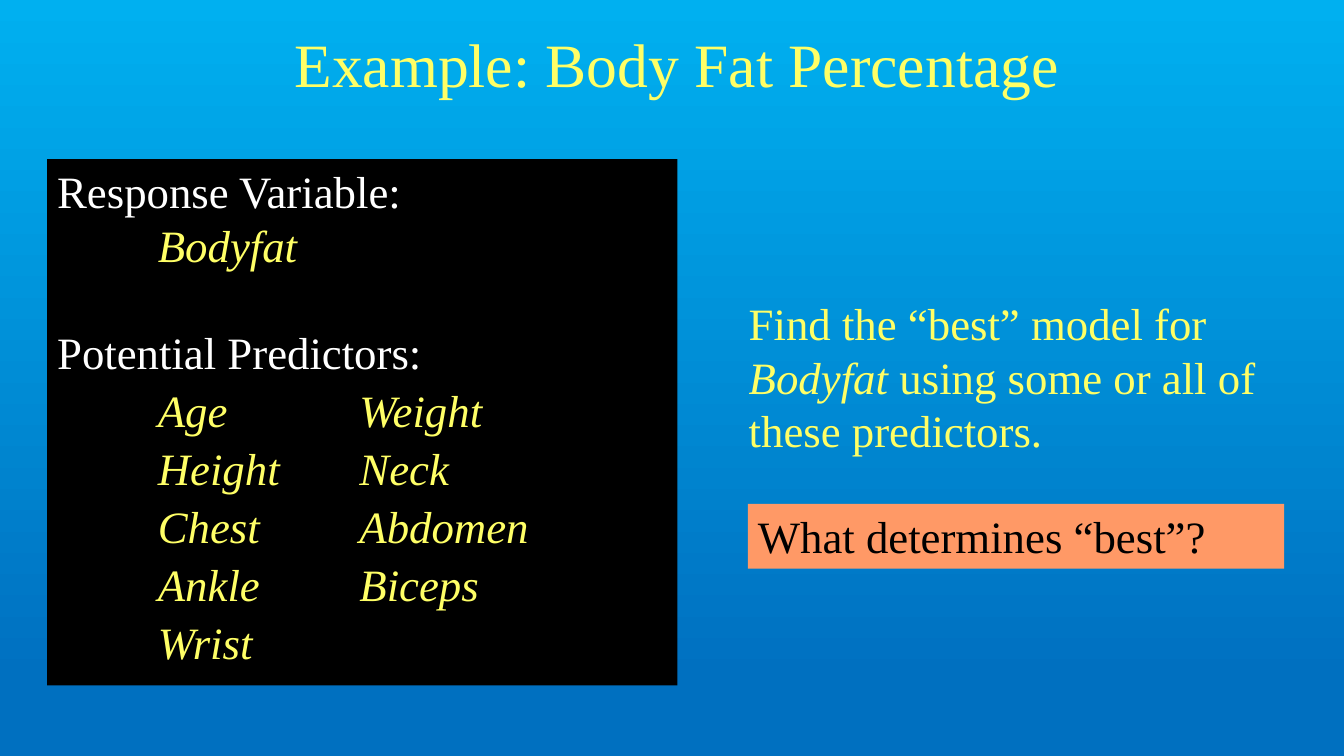
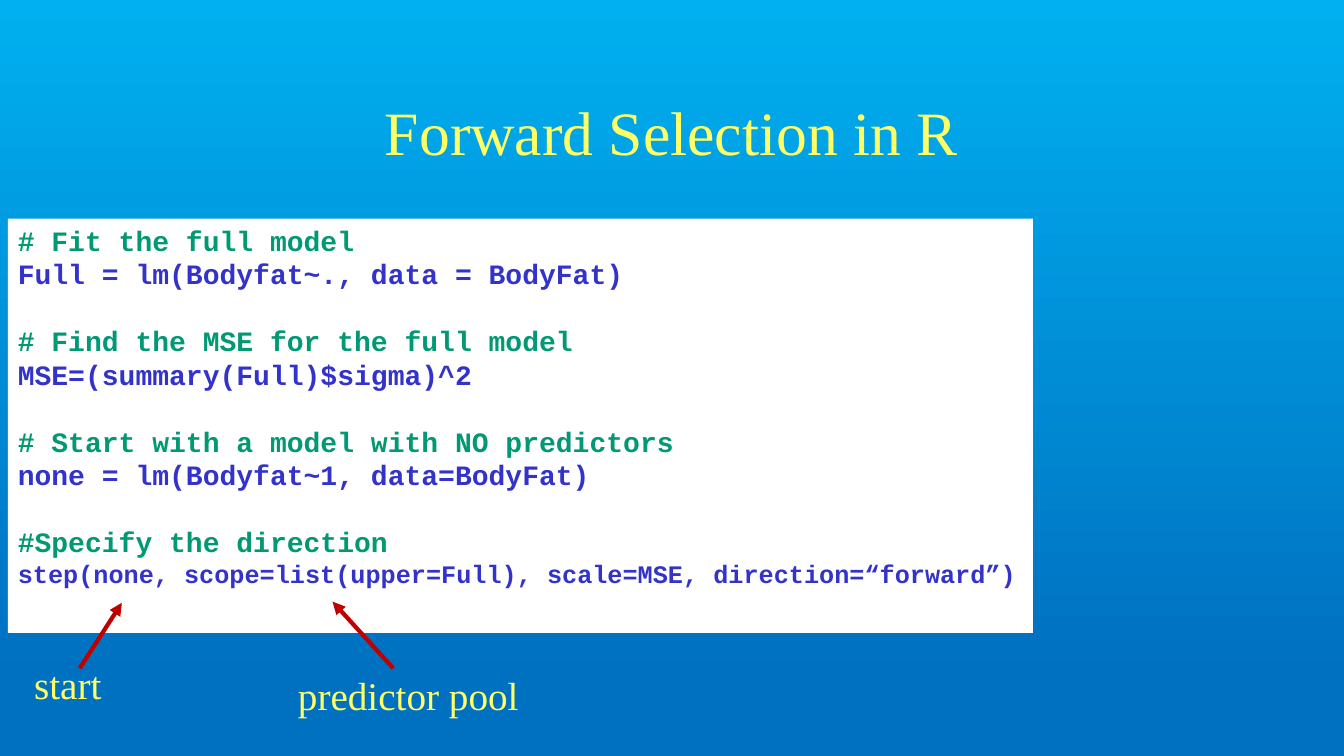
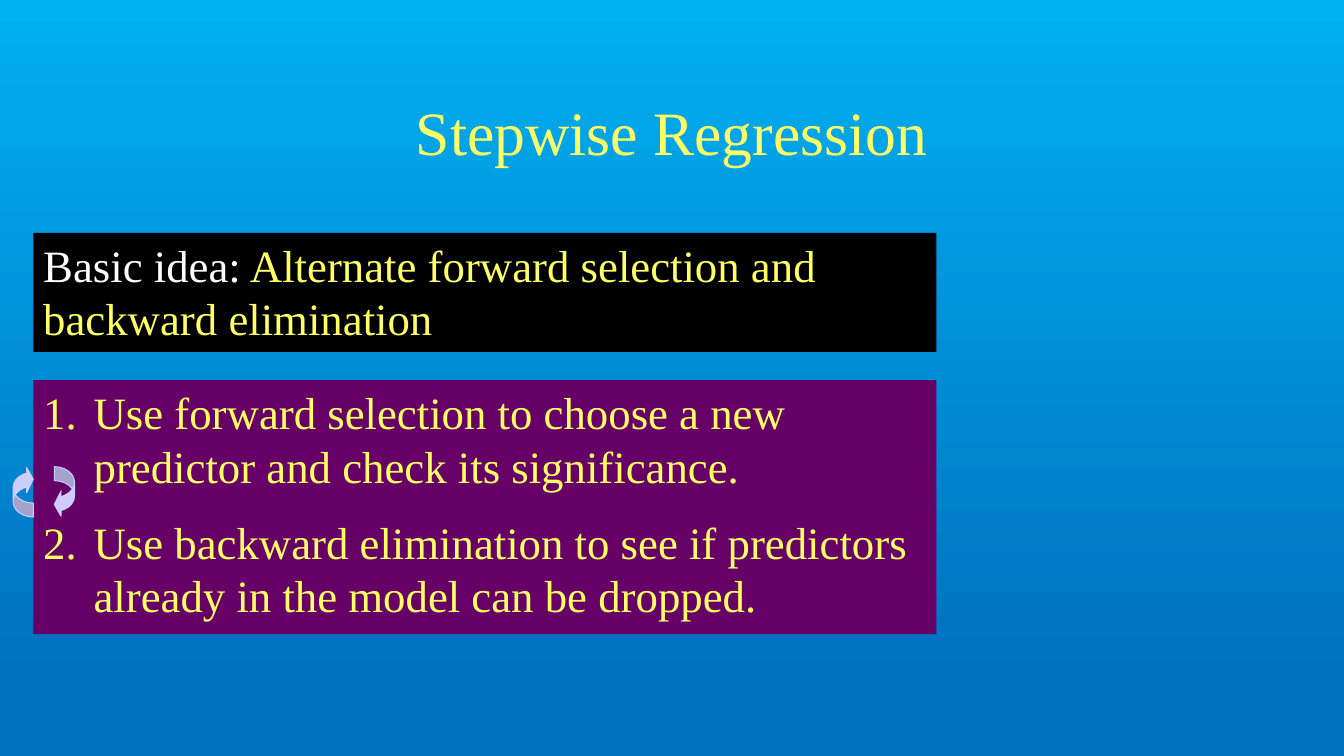
from dataclasses import dataclass

from lxml.etree import SubElement
from pptx import Presentation
from pptx.dml.color import RGBColor
from pptx.enum.shapes import MSO_CONNECTOR, MSO_SHAPE
from pptx.enum.text import MSO_ANCHOR, PP_ALIGN
from pptx.oxml import parse_xml
from pptx.oxml.ns import nsdecls, qn
from pptx.util import Cm, Pt

SKY = RGBColor(0x00, 0xB0, 0xF0)
BLUE = RGBColor(0x00, 0x70, 0xC0)
YELLOW = RGBColor(0xFF, 0xFF, 0x66)
WHITE = RGBColor(0xFF, 0xFF, 0xFF)
BLACK = RGBColor(0x00, 0x00, 0x00)
ORANGE = RGBColor(0xFF, 0x99, 0x66)
PURPLE = RGBColor(0x66, 0x00, 0x66)
LILAC = RGBColor(0xCC, 0xCC, 0xFF)
GREEN = RGBColor(0x00, 0x99, 0x73)
INDIGO = RGBColor(0x33, 0x33, 0xCC)
RED = RGBColor(0xC0, 0x00, 0x00)

SERIF, MONO = "Times New Roman", "Courier New"
LINE_HEIGHT = 1.195
TAB_STOPS = (2.54, 7.62)
HANGING = 1.27


@dataclass
class Para:
    """One paragraph; runs are (text, overrides) pairs, or a plain string."""
    runs: object
    color: RGBColor = YELLOW
    size: float = 32
    font: str = SERIF
    italic: bool = False
    bold: bool = False
    before: float = 0
    after: float = 0
    align: PP_ALIGN = PP_ALIGN.LEFT
    numbered: bool = False


# Content; boxes are left, top, width, height in centimetres
TITLE_BOX = (2.54, 1.7, 28.78, 3.18)
TITLES = [
    ("Example: Body Fat Percentage", (6.27, 0, 21.59, 3.18)),
    ("Forward Selection in R", TITLE_BOX),
    ("Stepwise Regression", TITLE_BOX),
]

PREDICTORS = [("Age", "Weight"), ("Height", "Neck"), ("Chest", "Abdomen"),
              ("Ankle", "Biceps"), ("Wrist",)]
VARIABLES = [
    Para("Response Variable:", WHITE),
    Para("\tBodyfat", italic=True),
    Para("Potential Predictors:", WHITE, before=32 * LINE_HEIGHT, after=3.2),
] + [Para("\t" + "\t".join(row), italic=True, after=3.2) for row in PREDICTORS]
GOAL = [Para([("Find the “best” model for ", {}), ("Bodyfat", {"italic": True}),
              (" using some or all of these predictors.", {})])]
QUESTION = [Para("What determines “best”?", BLACK)]

CODE = [  # comment, statement, statement size
    ("# Fit the full model", "Full = lm(Bodyfat~., data = BodyFat)", 20),
    ("# Find the MSE for the full model", "MSE=(summary(Full)$sigma)^2", 20),
    ("# Start with a model with NO predictors",
     "none = lm(Bodyfat~1, data=BodyFat)", 20),
    ("#Specify the direction",
     "step(none, scope=list(upper=Full), scale=MSE, direction=“forward”)", 18),
]
CALLOUTS = [  # label, label box, arrow start, arrow end
    ("start", (0.61, 16.51, 2.41, 1.45), (2.01, 16.84), (3.07, 15.19)),
    ("predictor pool", (7.26, 16.81, 8.2, 1.45), (9.91, 16.84), (8.38, 15.16)),
]

IDEA = [Para([("Basic idea:", {"color": WHITE}),
              (" Alternate forward selection and backward elimination", {})])]
STEPS = [
    "Use forward selection to choose a new predictor and check its significance.",
    "Use backward elimination to see if predictors already in the model can be dropped.",
]
CYCLE_ARROWS = [(1.37, "flipH"), (0.33, "flipV")]


def set_tabs_and_number(p, numbered):
    """Add tab stops, and numbering with a hanging indent when asked."""
    pPr = p._p.get_or_add_pPr()
    extras = []
    if numbered:
        pPr.set("marL", str(Cm(HANGING)))
        pPr.set("indent", str(-Cm(HANGING)))
        extras.append(f'<a:buAutoNum {nsdecls("a")} type="arabicPeriod"/>')
    elif "\t" in p.text or "\v" in p.text:
        stops = "".join(f'<a:tab pos="{Cm(x)}" algn="l"/>' for x in TAB_STOPS)
        extras.append(f'<a:tabLst {nsdecls("a")}>{stops}</a:tabLst>')
    for xml in extras:
        pPr.find(qn("a:defRPr")).addprevious(parse_xml(xml))


def fill_paragraph(p, para):
    """Write one Para into a paragraph."""
    runs = [(para.runs, {})] if isinstance(para.runs, str) else para.runs
    for text, override in runs:
        r = p.add_run()
        r.text = text
        if "italic" in override:
            r.font.italic = override["italic"]
        if "color" in override:
            r.font.color.rgb = override["color"]
    font = p.font
    font.name, font.size = para.font, Pt(para.size)
    font.bold, font.italic = para.bold, para.italic
    font.color.rgb = para.color
    p.alignment = para.align
    p.line_spacing = Pt(para.size * LINE_HEIGHT)
    p.space_before, p.space_after = Pt(para.before), Pt(para.after)
    set_tabs_and_number(p, para.numbered)


def add_text(slide, box, paras, fill=None, anchor=MSO_ANCHOR.TOP):
    """Add a text box, or a filled rectangle with text."""
    place = [Cm(v) for v in box]
    if fill is None:
        sp = slide.shapes.add_textbox(*place)
    else:
        sp = slide.shapes.add_shape(MSO_SHAPE.RECTANGLE, *place)
        sp.shadow.inherit = False
        sp.fill.solid()
        sp.fill.fore_color.rgb = fill
        sp.line.fill.background()
    tf = sp.text_frame
    tf.word_wrap, tf.vertical_anchor = True, anchor
    for i, para in enumerate(paras):
        fill_paragraph(tf.add_paragraph() if i else tf.paragraphs[0], para)


def add_arrow(slide, start, end):
    """Draw a straight red arrow from start to end."""
    line = slide.shapes.add_connector(
        MSO_CONNECTOR.STRAIGHT, *[Cm(v) for v in start + end])
    line.line.color.rgb = RED
    line.line.width = Pt(3)
    SubElement(line.line._get_or_add_ln(), qn("a:tailEnd"), type="triangle")
    SubElement(line._element.spPr, qn("a:effectLst"))


def add_cycle_arrow(slide, left, flip):
    """Draw one curved half of the repeat sign."""
    sp = slide.shapes.add_shape(MSO_SHAPE.CURVED_RIGHT_ARROW,
                                Cm(left), Cm(11.76), Cm(0.51), Cm(1.27))
    sp.shadow.inherit = False
    for i, value in enumerate((0.69, 1.37, 0.33)):
        sp.adjustments[i] = value
    sp.fill.solid()
    sp.fill.fore_color.rgb = LILAC
    sp.line.color.rgb = LILAC
    sp.line.width = Pt(0.75)
    sp._element.spPr.find(qn("a:xfrm")).set(flip, "1")


def set_background(master):
    """Give every slide the same top-to-bottom gradient."""
    fill = master.background.fill
    fill.gradient()
    fill.gradient_angle = 270
    for stop, color, position in zip(fill.gradient_stops, (SKY, BLUE), (0, 0.9)):
        stop.color.rgb = color
        stop.position = position


def add_slide(prs, title, box):
    """Add a blank slide with its title."""
    s = prs.slides.add_slide(prs.slide_layouts[6])
    add_text(s, box, [Para(title, size=44, align=PP_ALIGN.CENTER)],
             anchor=MSO_ANCHOR.MIDDLE)
    return s


def code_paragraphs():
    """Pair each comment with its statement, one line apart from the next."""
    paras = []
    for comment, statement, size in CODE:
        gap = 20 * LINE_HEIGHT if paras else 0
        paras.append(Para(comment, GREEN, 20, MONO, bold=True, before=gap))
        paras.append(Para(statement, INDIGO, size, MONO, bold=True))
    return paras


prs = Presentation()
prs.slide_width, prs.slide_height = Cm(33.87), Cm(19.05)
set_background(prs.slide_master)
example, forward, stepwise = [add_slide(prs, *title) for title in TITLES]

add_text(example, (1.19, 4.01, 15.88, 13.26), VARIABLES, BLACK)
add_text(example, (18.62, 7.34, 14.61, 4.37), GOAL)
add_text(example, (18.85, 12.7, 13.51, 1.63), QUESTION, ORANGE)

add_text(forward, (0.2, 5.51, 25.83, 10.44), code_paragraphs(), WHITE)
for label, box, start, end in CALLOUTS:
    add_text(forward, box, [Para(label, size=28)])
    add_arrow(forward, start, end)

add_text(stepwise, (0.84, 5.87, 22.76, 3), IDEA, BLACK)
add_text(stepwise, (0.84, 9.58, 22.76, 6.4),
         [Para(step, numbered=True, before=16 * i) for i, step in enumerate(STEPS)],
         PURPLE)
for left, flip in CYCLE_ARROWS:
    add_cycle_arrow(stepwise, left, flip)

prs.save("out.pptx")
